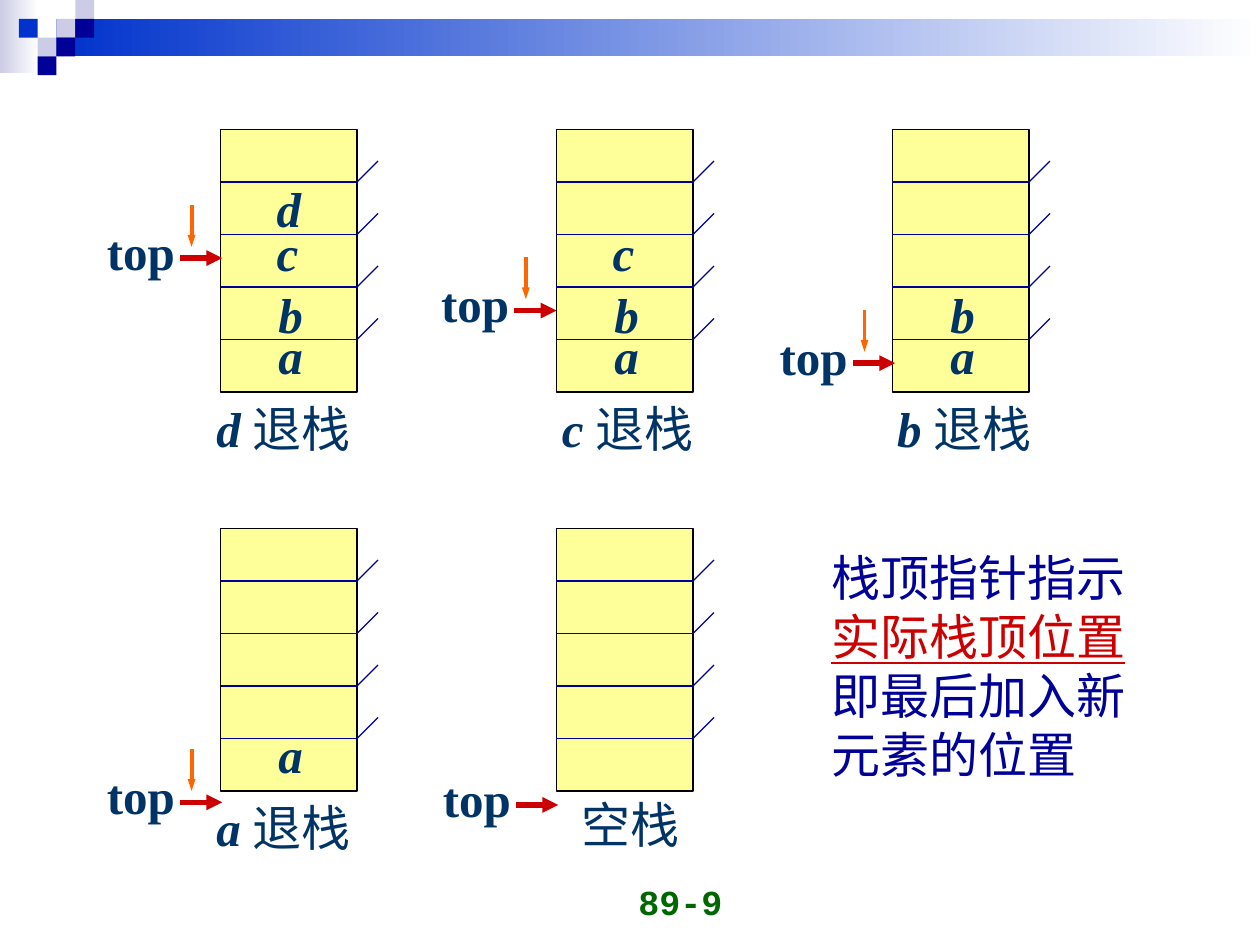
from lxml.etree import SubElement
from pptx import Presentation
from pptx.dml.color import RGBColor
from pptx.enum.shapes import MSO_CONNECTOR as Connector, MSO_SHAPE as Shape
from pptx.enum.text import MSO_ANCHOR as Anchor, MSO_AUTO_SIZE as AutoSize, PP_ALIGN as Align
from pptx.oxml.ns import qn
from pptx.util import Pt

WHITE = RGBColor(0xFF, 0xFF, 0xFF)
BLACK = RGBColor(0x00, 0x00, 0x00)
LAVENDER = RGBColor(0xCC, 0xCC, 0xE6)
BLUE = RGBColor(0x00, 0x33, 0xCC)
NAVY = RGBColor(0x00, 0x00, 0x99)
YELLOW = RGBColor(0xFF, 0xFF, 0x99)
INK = RGBColor(0x00, 0x33, 0x66)
RED = RGBColor(0xCC, 0x00, 0x00)
ORANGE = RGBColor(0xFF, 0x66, 0x00)
GREEN = RGBColor(0x00, 0x66, 0x00)

SERIF = "Times New Roman"
MONO = "Courier New"
STACK_W, STACK_H, ROWS = 78, 150, 5
ROW_H = STACK_H / ROWS
TICK = 12
LETTER_SPOTS = {"a": (26, 108.5), "b": (26, 85), "c": (25, 49.5), "d": (25, 24.5)}


def add_rect(page, left, top, width, height, fill, fade=False, outline=None):
    """Add a rectangle with a plain fill or one that fades to white."""
    rect = page.shapes.add_shape(Shape.RECTANGLE, Pt(left), Pt(top), Pt(width), Pt(height))
    rect.shadow.inherit = False
    if fade:
        rect.fill.gradient()
        rect.fill.gradient_angle = 0
        for stop, color in zip(rect.fill.gradient_stops, (fill, WHITE)):
            stop.color.rgb = color
    else:
        rect.fill.solid()
        rect.fill.fore_color.rgb = fill
    if outline is None:
        rect.line.fill.background()
    else:
        rect.line.color.rgb = outline
        rect.line.width = Pt(0.75)


def add_line(page, start, end, color, weight=0.75, head=None):
    """Add a straight line, with an arrowhead of the given breadth if wanted."""
    line = page.shapes.add_connector(Connector.STRAIGHT, *map(Pt, (*start, *end)))
    line.line.color.rgb = color
    line.line.width = Pt(weight)
    if head:
        SubElement(line.line._get_or_add_ln(), qn("a:tailEnd"), type="triangle", w=head)
    SubElement(line._element.spPr, qn("a:effectLst"))


def style(span, color=INK, size=28, name=SERIF, bold=False, italic=False, underline=False):
    """Format one run of text."""
    font = span.font
    font.name, font.size, font.color.rgb = name, Pt(size), color
    font.bold, font.italic, font.underline = bold, italic, underline


def add_text(page, left, top, width, height, text, **look):
    """Add a text box whose runs share one look."""
    box = page.shapes.add_textbox(Pt(left), Pt(top), Pt(width), Pt(height))
    frame = box.text_frame
    frame.text = text
    frame.word_wrap = False
    frame.auto_size = AutoSize.SHAPE_TO_FIT_TEXT
    for para in frame.paragraphs:
        for span in para.runs:
            style(span, **look)
    return box


def add_header(page, left, top, unit):
    """Draw the fading bar and the chequered squares."""
    add_rect(page, left, top, 22, 42, LAVENDER, fade=True)
    add_rect(page, left + 3 * unit, top + unit, 720 - 3 * unit, 2 * unit, BLUE, fade=True)
    squares = [(3, 1, LAVENDER), (4, 0, LAVENDER), (4, 1, NAVY), (2, 2, LAVENDER),
               (1, 1, BLUE), (3, 2, NAVY), (2, 3, NAVY)]
    for column, row, color in squares:
        add_rect(page, left + column * unit, top + row * unit, unit, unit, color)


def add_pointer(page, left, top, moved):
    """Draw the top label and its arrow, and the downward arrow if it moved."""
    add_text(page, left - 72, top - 24.5, 53, 41, "top", bold=True)
    add_line(page, (left - 23, top), (left + 1, top), RED, 3, head="med")
    if moved:
        add_line(page, (left - 16.5, top - 30.5), (left - 16.5, top - 6.5), ORANGE, 2.25, head="sm")


def add_caption(page, left, top, popped):
    """Name the element that was popped, or the empty stack."""
    if not popped:
        add_text(page, left + 7, top - 1.5, 73, 41, "空栈")
        return
    box = add_text(page, left, top, 101, 41, f"{popped} ", bold=True, italic=True)
    span = box.text_frame.paragraphs[0].add_run()
    span.text = "退栈"
    style(span)


def add_stack(page, left, top, letters, popped, pointer_top, pointer_shift, caption_shift):
    """Draw one stack with its letters, pointer and caption."""
    right = left + STACK_W
    add_rect(page, left, top, STACK_W, STACK_H, YELLOW, outline=BLACK)
    for row in range(1, ROWS):
        y = top + row * ROW_H
        add_line(page, (left, y), (right, y), NAVY)
        add_line(page, (right, y), (right + TICK, y - TICK), NAVY)
    for letter in letters:
        x, y = LETTER_SPOTS[letter]
        add_text(page, left + x, top + y, 28, 41, letter, bold=True, italic=True)
    add_pointer(page, left + pointer_shift, top + pointer_top, bool(popped))
    add_caption(page, left + caption_shift, top + STACK_H, popped)


def add_note(page, left, top, width, height):
    """Write the remark on the stack pointer."""
    lines = ["栈顶指针指示", "实际栈顶位置", "即最后加入新", "元素的位置"]
    box = add_text(page, left, top, width, height, "\n".join(lines), color=NAVY)
    style(box.text_frame.paragraphs[1].runs[0], color=RED, underline=True)


def add_page_number(page, left, top, width, height):
    """Write the page number at the foot."""
    box = add_text(page, left, top, width, height, "89-9", color=GREEN, size=20, name=MONO, bold=True)
    frame = box.text_frame
    frame.auto_size = AutoSize.NONE
    frame.word_wrap = True
    frame.vertical_anchor = Anchor.BOTTOM
    frame.paragraphs[0].alignment = Align.RIGHT


def main():
    """Build the slide and save it."""
    deck = Presentation()
    deck.slide_width, deck.slide_height = Pt(720), Pt(540)
    page = deck.slides.add_slide(deck.slide_layouts[6])
    add_header(page, 0, 0, 10.75)
    stacks = [("abcd", "d", 73.5, 0, -9.5), ("abc", "c", 103.5, -1, -4), ("ab", "b", 133.5, 0.5, -4.5),
              ("a", "a", 156.5, 0, -9.5), ("", "", 158, 0, 0)]
    for index, stack in enumerate(stacks):
        row, column = divmod(index, 3)
        add_stack(page, 126 + 192 * column, 74 + 228 * row, *stack)
    add_note(page, 468, 309.5, 182, 142)
    add_page_number(page, 252, 494.5, 168, 36)
    deck.save("out.pptx")


if __name__ == "__main__":
    main()
